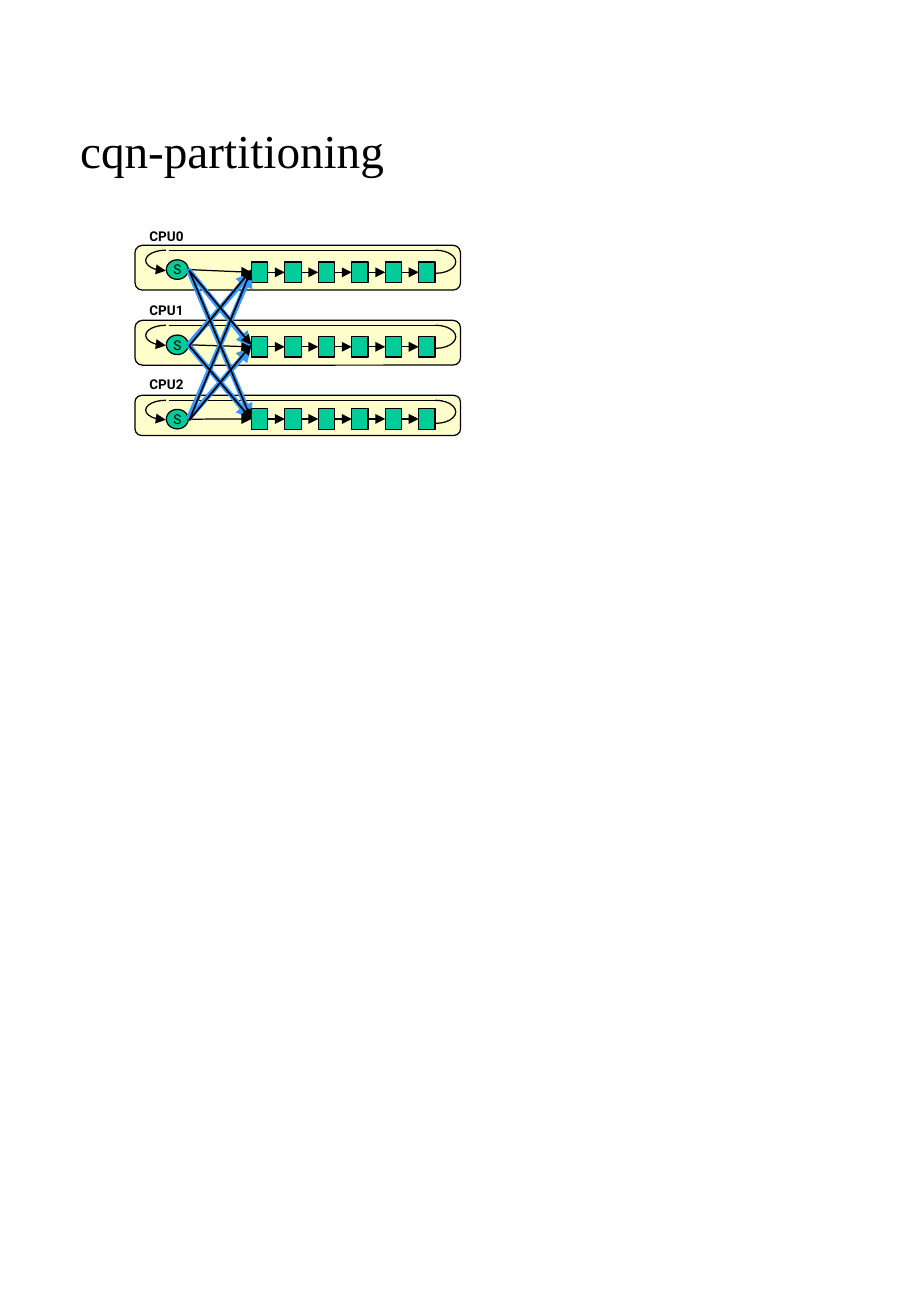
from itertools import permutations, product

from lxml import etree
from pptx import Presentation
from pptx.dml.color import RGBColor
from pptx.enum.shapes import MSO_CONNECTOR, MSO_SHAPE
from pptx.enum.text import MSO_ANCHOR, MSO_AUTO_SIZE, PP_ALIGN
from pptx.oxml.ns import qn
from pptx.util import Pt

STRAIGHT = MSO_CONNECTOR.STRAIGHT
ROUNDED, OVAL = MSO_SHAPE.ROUNDED_RECTANGLE, MSO_SHAPE.OVAL
RECTANGLE, ARC = MSO_SHAPE.RECTANGLE, MSO_SHAPE.ARC
MIDDLE, TOP = MSO_ANCHOR.MIDDLE, MSO_ANCHOR.TOP
LEFT, CENTER = PP_ALIGN.LEFT, PP_ALIGN.CENTER
NO_FIT = MSO_AUTO_SIZE.NONE

BLACK = RGBColor(0x00, 0x00, 0x00)
CREAM = RGBColor(0xFF, 0xFF, 0xCC)
GREEN = RGBColor(0x00, 0xCC, 0x99)
BLUE = RGBColor(0x33, 0x99, 0xFF)

TITLE = "cqn-partitioning"
SOURCE = "S"
CPUS = [
    {"name": "CPU0", "lane_height": 26.6, "source_y": 159.9, "queue_y": 161.5, "return_height": 12.2},
    {"name": "CPU1", "lane_height": 26.6, "source_y": 204.5, "queue_y": 205.7, "return_height": 12},
    {"name": "CPU2", "lane_height": 23.8, "source_y": 248.6, "queue_y": 248.5, "return_height": 11.6},
]
QUEUES = 6

LANE_LEFT, LANE_TOP, LANE_WIDTH, LANE_PITCH = 80, 145.5, 193, 44.5
LABEL_TOP, LABEL_PITCH = 131.8, 43.9
SOURCE_LEFT, SOURCE_WIDTH, SOURCE_HEIGHT = 98.6, 13, 11.6
SOURCE_RIGHT = SOURCE_LEFT + SOURCE_WIDTH
QUEUE_LEFT, QUEUE_WIDTH, QUEUE_HEIGHT, QUEUE_PITCH = 149, 9.7, 12.2, 19.85
LOOP_WIDTH, LOOP_HEIGHT, LOOP_INSET = 23.8, 13.7, 2.9
RETURN_LEFT, EXIT_LEFT = 86.4, 246.4
HALF_TURN_RIGHT, HALF_TURN_LEFT = (162, 54), (54, 162)


def write(frame, text, size=8, font="Roboto", bold=False, align=LEFT, anchor=TOP, wrap=False):
    frame.auto_size = NO_FIT
    frame.word_wrap = wrap
    frame.vertical_anchor = anchor
    paragraph = frame.paragraphs[0]
    paragraph.text = text
    paragraph.alignment = align
    paragraph.font.size = Pt(size)
    paragraph.font.name = font
    paragraph.font.bold = bold
    paragraph.font.color.rgb = BLACK


def add_block(kind, left, top, width, height, fill=None):
    block = slide.shapes.add_shape(kind, Pt(left), Pt(top), Pt(width), Pt(height))
    block.shadow.inherit = False
    if fill is None:
        block.fill.background()
    else:
        block.fill.solid()
        block.fill.fore_color.rgb = fill
    block.line.color.rgb = BLACK
    block.line.width = Pt(0.75)
    return block


def add_head(stroke, end):
    etree.SubElement(stroke.line._get_or_add_ln(), qn(f"a:{end}"), type="triangle")


def add_line(x1, y1, x2, y2, color=BLACK, width=0.75, arrow=True):
    line = slide.shapes.add_connector(STRAIGHT, Pt(x1), Pt(y1), Pt(x2), Pt(y2))
    line.line.color.rgb = color
    line.line.width = Pt(width)
    if arrow:
        add_head(line, "tailEnd")
    etree.SubElement(line._element.spPr, qn("a:effectLst"))


def add_loop(left, top, height, angles):
    loop = add_block(ARC, left, top, LOOP_WIDTH, height)
    loop.adjustments[0], loop.adjustments[1] = angles
    return loop


def add_cpu(cpu, lane_top):
    source_y, queue_y = cpu["source_y"], cpu["queue_y"]
    loop_top = lane_top + LOOP_INSET
    source = add_block(OVAL, SOURCE_LEFT, source_y - SOURCE_HEIGHT / 2,
                       SOURCE_WIDTH, SOURCE_HEIGHT, GREEN)
    write(source.text_frame, SOURCE, align=CENTER, anchor=MIDDLE)
    queue_lefts = [QUEUE_LEFT + i * QUEUE_PITCH for i in range(QUEUES)]
    for left in queue_lefts:
        add_block(RECTANGLE, left, queue_y - QUEUE_HEIGHT / 2, QUEUE_WIDTH, QUEUE_HEIGHT, GREEN)
    add_line(SOURCE_RIGHT, source_y, QUEUE_LEFT, queue_y)
    for left in queue_lefts[1:]:
        add_line(left - QUEUE_PITCH + QUEUE_WIDTH, queue_y, left, queue_y)
    add_loop(EXIT_LEFT, loop_top, LOOP_HEIGHT, HALF_TURN_RIGHT)
    entry = add_loop(RETURN_LEFT, loop_top, cpu["return_height"], HALF_TURN_LEFT)
    add_head(entry, "headEnd")
    add_line(RETURN_LEFT + LOOP_WIDTH / 2 + 1.7, loop_top,
             EXIT_LEFT + LOOP_WIDTH / 2, loop_top, arrow=False)


deck = Presentation()
deck.slide_width, deck.slide_height = Pt(540), Pt(780.48)
slide = deck.slides.add_slide(deck.slide_layouts[5])

title = slide.shapes.title
title.left, title.top, title.width, title.height = Pt(40.3), Pt(69.1), Pt(458.6), Pt(38.9)
write(title.text_frame, TITLE, size=28, font="Times New Roman", anchor=MIDDLE, wrap=True)

lane_tops = [LANE_TOP + i * LANE_PITCH for i in range(len(CPUS))]
for cpu, lane_top in zip(CPUS, lane_tops):
    add_block(ROUNDED, LANE_LEFT, lane_top, LANE_WIDTH, cpu["lane_height"], CREAM)
for cpu, lane_top in zip(CPUS, lane_tops):
    add_cpu(cpu, lane_top)

LINK_STYLES = [(BLUE, 3, 0, "queue_y"), (BLACK, 1, 0.6, "source_y")]
for (color, width, shift, target), (sender, receiver) in product(LINK_STYLES, permutations(CPUS, 2)):
    add_line(SOURCE_RIGHT + shift, sender["source_y"] + shift,
             QUEUE_LEFT, receiver[target], color, width)

for i, cpu in enumerate(CPUS):
    label = slide.shapes.add_textbox(Pt(81.4), Pt(LABEL_TOP + i * LABEL_PITCH), Pt(35.3), Pt(17.3))
    write(label.text_frame, cpu["name"], bold=True)

deck.save("out.pptx")
